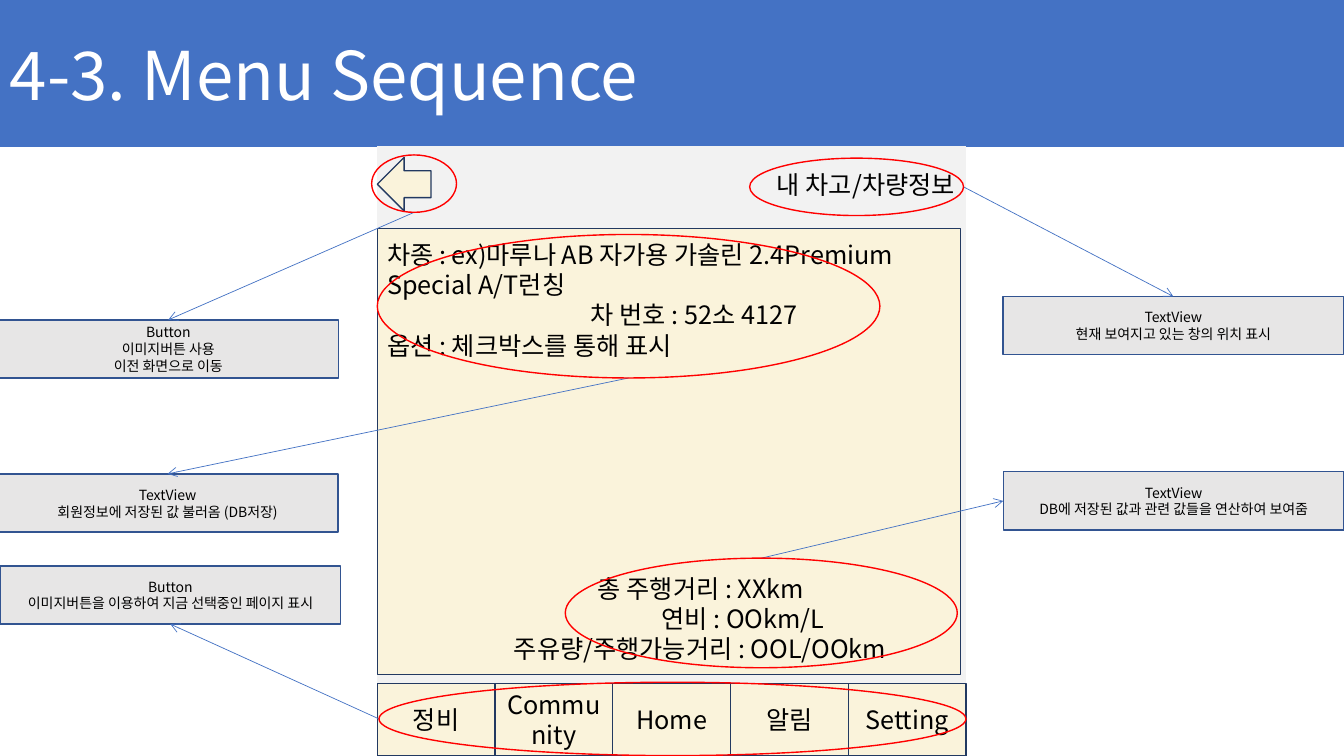
from dataclasses import dataclass

import pptx
import pptx.dml.color
import pptx.enum.shapes
import pptx.enum.text
import pptx.oxml.ns
import pptx.oxml.xmlchemy
import pptx.util
from lxml import etree

Pt = pptx.util.Pt
RGB = pptx.dml.color.RGBColor
SHAPE = pptx.enum.shapes.MSO_SHAPE
ALIGN = pptx.enum.text.PP_ALIGN
qn = pptx.oxml.ns.qn

FONT = "Noto Sans CJK KR"
BLUE = RGB(0x44, 0x72, 0xC4)
NAVY = RGB(0x22, 0x39, 0x61)
BOX_EDGE = RGB(0x32, 0x54, 0x91)
CREAM = RGB(0xFA, 0xF3, 0xDB)
PALE = RGB(0xF2, 0xF2, 0xF2)
GREY = RGB(0xE7, 0xE6, 0xE6)
RED = RGB(0xFF, 0, 0)
BLACK = RGB(0, 0, 0)
WHITE = RGB(0xFF, 0xFF, 0xFF)

TOP, LEFT, BOTTOM, RIGHT = range(4)
SCREEN_LEFT, SCREEN_WIDTH = 269.5, 420.5
BOX_WIDTH, BOX_HEIGHT = 243.4, 41.6


@dataclass
class Area:
    left: float
    top: float
    width: float
    height: float

    def side(self, site: int) -> tuple[float, float]:
        """Midpoint of one side."""
        x, y = self.left + self.width / 2, self.top + self.height / 2
        return {TOP: (x, self.top), LEFT: (self.left, y),
                BOTTOM: (x, self.top + self.height),
                RIGHT: (self.left + self.width, y)}[site]


@dataclass
class Note:
    ring: Area
    ring_side: int
    box_left: float
    box_top: float
    box_side: int
    text: str


@dataclass
class InfoLine:
    text: str
    indent: float = 0
    space_before: float = 0


NOTES = [
    Note(Area(535.5, 113, 152.8, 41), RIGHT, 716.4, 211.8, TOP,
         "TextView\n현재 보여지고 있는 창의 위치 표시"),
    Note(Area(265.5, 110.7, 60.6, 41), BOTTOM, -1.5, 228.5, TOP,
         "Button\n이미지버튼 사용\n이전 화면으로 이동"),
    Note(Area(269.5, 167.5, 359, 102.5), BOTTOM, -2, 338.5, TOP,
         "TextView\n회원정보에 저장된 값 불러옴 (DB저장)"),
    Note(Area(403.8, 398.7, 280, 78.3), TOP, 716.6, 337, LEFT,
         "TextView\nDB에 저장된 값과 관련 값들을 연산하여 보여줌"),
    Note(Area(270.7, 487.3, 419.3, 52.4), LEFT, 0, 404.2, BOTTOM,
         "Button\n이미지버튼을 이용하여 지금 선택중인 페이지 표시"),
]
INFO = [
    InfoLine("차종 : ex)마루나 AB 자가용 가솔린 2.4Premium Special A/T런칭"),
    InfoLine("차 번호 : 52소 4127", 145.5),
    InfoLine("옵션 : 체크박스를 통해 표시"),
    InfoLine("총 주행거리 : XXkm", 150.5, 152),
    InfoLine("연비 : OOkm/L", 196),
    InfoLine("주유량/주행가능거리 : OOL/OOkm", 90.5),
]
TABS = ["정비", "Community", "Home", "알림", "Setting"]


def style_text(sp, size: float, color: RGB, align: ALIGN) -> None:
    tf = sp.text_frame
    tf.word_wrap = True
    tf.vertical_anchor = pptx.enum.text.MSO_ANCHOR.MIDDLE
    for p in tf.paragraphs:
        p.alignment = align
        for r in p.runs:
            r.font.size = Pt(size)
            r.font.name = FONT
            r.font.color.rgb = color
            etree.SubElement(r.font._element, qn("a:ea"), typeface=FONT)


def add_shape(s, kind: SHAPE, area: Area, fill: RGB | None = None,
              line: RGB | None = None, text: str = "", size: float = 18,
              color: RGB = BLACK, align: ALIGN = ALIGN.CENTER):
    sp = s.shapes.add_shape(kind, Pt(area.left), Pt(area.top),
                            Pt(area.width), Pt(area.height))
    sp.shadow.inherit = False
    if fill is None:
        sp.fill.background()
    else:
        sp.fill.solid()
        sp.fill.fore_color.rgb = fill
    if line is None:
        sp.line.fill.background()
    else:
        sp.line.color.rgb = line
        sp.line.width = Pt(1)
    if text:
        sp.text_frame.text = text
        style_text(sp, size, color, align)
    return sp


def add_note(s, note: Note) -> None:
    box = Area(note.box_left, note.box_top, BOX_WIDTH, BOX_HEIGHT)
    sp = add_shape(s, SHAPE.RECTANGLE, box, GREY, BOX_EDGE, note.text, 10)
    x, y = note.ring.side(note.ring_side)
    end_x, end_y = box.side(note.box_side)
    arrow = s.shapes.add_connector(pptx.enum.shapes.MSO_CONNECTOR.STRAIGHT,
                                   Pt(x), Pt(y), Pt(end_x), Pt(end_y))
    arrow.end_connect(sp, note.box_side)
    arrow.line.color.rgb = BLUE
    arrow.line.width = Pt(0.5)
    sp_pr = arrow._element.spPr
    etree.SubElement(sp_pr.find(qn("a:ln")), qn("a:tailEnd"), type="arrow")
    etree.SubElement(sp_pr, qn("a:effectLst"))
    add_shape(s, SHAPE.OVAL, note.ring, line=RED)


def add_info(s, lines: list[InfoLine]) -> None:
    sp = add_shape(s, SHAPE.RECTANGLE, Area(SCREEN_LEFT, 163.3, 416.7, 318.3),
                   CREAM, NAVY, "\n".join(line.text for line in lines),
                   align=ALIGN.LEFT)
    for p, line in zip(sp.text_frame.paragraphs, lines):
        p.space_before = Pt(line.space_before)
        p._p.get_or_add_pPr().set("marL", str(Pt(line.indent)))


def main() -> None:
    prs = pptx.Presentation()
    prs.slide_width, prs.slide_height = Pt(960), Pt(540)
    s = prs.slides.add_slide(prs.slide_layouts[6])

    # Title band
    add_shape(s, SHAPE.RECTANGLE, Area(0, 0, 960, 105), BLUE,
              text="4-3. Menu Sequence", size=48, color=WHITE,
              align=ALIGN.LEFT)

    # App screen with its bottom tabs
    add_shape(s, SHAPE.RECTANGLE,
              Area(SCREEN_LEFT, 104.4, SCREEN_WIDTH, 435.6), PALE)
    tab_width = SCREEN_WIDTH / len(TABS)
    for i, name in enumerate(TABS):
        add_shape(s, SHAPE.RECTANGLE,
                  Area(SCREEN_LEFT + i * tab_width, 488.2, tab_width, 51.8),
                  CREAM, NAVY, name)
    add_info(s, INFO)

    # Screen header
    add_shape(s, SHAPE.LEFT_ARROW, Area(SCREEN_LEFT, 112.4, 38.4, 38.4),
              CREAM, NAVY)
    header = s.shapes.add_textbox(Pt(369.4), Pt(105.8), Pt(319.7), Pt(51.8))
    header.text_frame.text = "내 차고/차량정보"
    style_text(header, 18, BLACK, ALIGN.RIGHT)

    # Rings, arrows and explanations
    for note in NOTES:
        add_note(s, note)

    prs.save("out.pptx")


if __name__ == "__main__":
    main()
